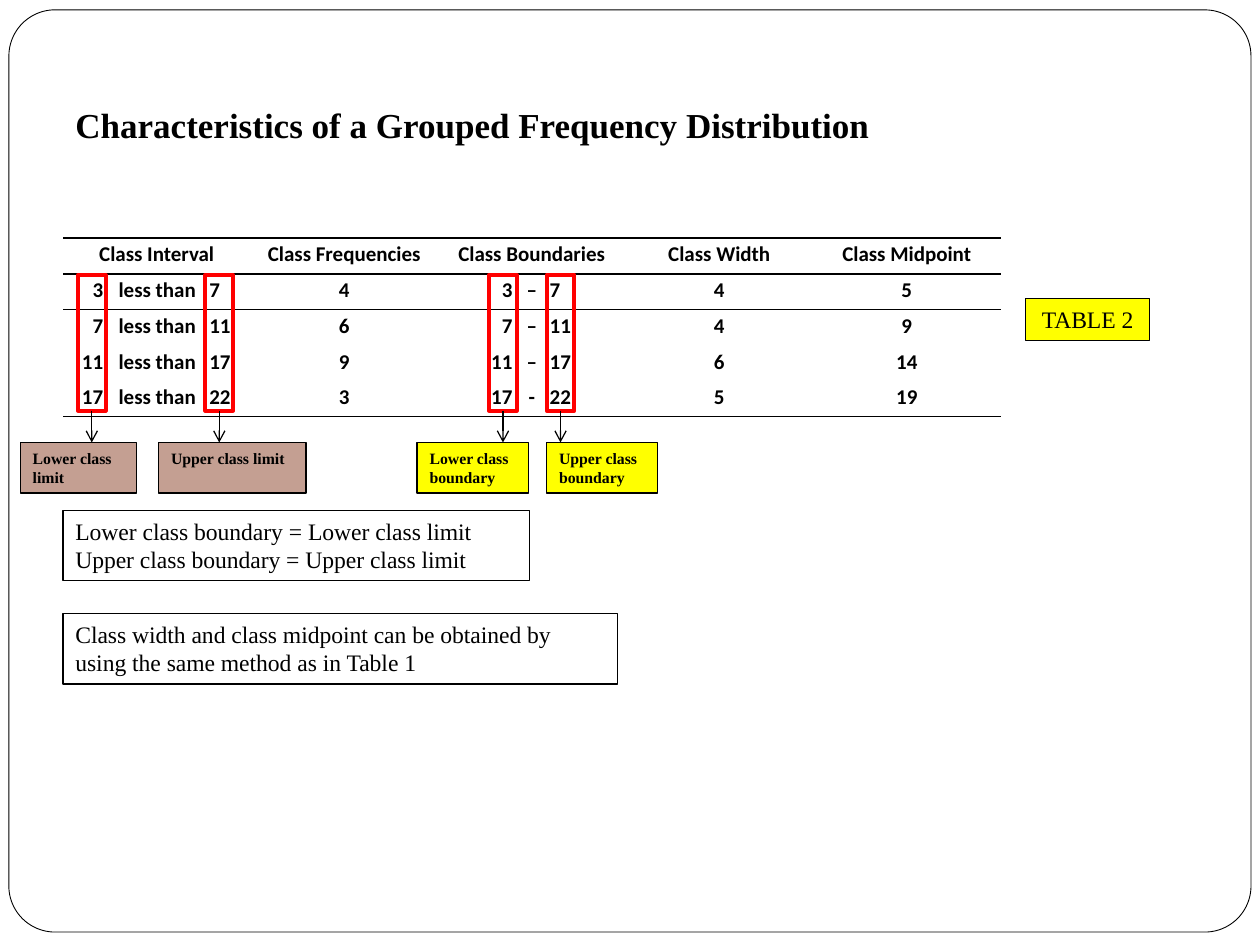
from lxml import etree
from pptx import Presentation
from pptx.dml.color import RGBColor
from pptx.enum.shapes import MSO_CONNECTOR, MSO_SHAPE
from pptx.enum.text import MSO_ANCHOR, PP_ALIGN
from pptx.oxml.ns import qn
from pptx.util import Cm, Pt

BLACK = RGBColor(0x00, 0x00, 0x00)
WHITE = RGBColor(0xFF, 0xFF, 0xFF)
RED = RGBColor(0xFF, 0x00, 0x00)
YELLOW = RGBColor(0xFF, 0xFF, 0x00)
ROSE = RGBColor(0xC4, 0x9F, 0x92)

RECTANGLE = MSO_SHAPE.RECTANGLE
ROUNDED = MSO_SHAPE.ROUNDED_RECTANGLE
STRAIGHT = MSO_CONNECTOR.STRAIGHT
LEFT, CENTER = PP_ALIGN.LEFT, PP_ALIGN.CENTER
TOP = MSO_ANCHOR.TOP

SERIF, SANS = "Times New Roman", "Calibri"
NO_GRID_STYLE = "{2D5ABB26-0587-4C30-8999-92F81FD0307C}"

COLUMN_WIDTH, ROW_HEIGHT = 3.78, 0.72
HEADERS = ["Class Interval", "Class Frequencies", "Class Boundaries",
           "Class Width", "Class Midpoint"]
# lower limit, upper limit, frequency, boundary dash, width, midpoint
CLASSES = [
    (3, 7, 4, "–", 4, 5),
    (7, 11, 6, "–", 4, 9),
    (11, 17, 9, "–", 6, 14),
    (17, 22, 3, "-", 5, 19),
]
# Tab stops in cm from the cell's text edge, by column
TAB_STOPS = {
    0: [("r", 0.66), ("l", 0.97), ("l", 2.8)],
    2: [("r", 1.35), ("ctr", 1.74), ("l", 2.1)],
}
# Offsets from the table's left edge: marker, label, label width
CALLOUTS = [
    ("Lower class limit", ROSE, 0.3, -0.86, 2.34),
    ("Upper class limit", ROSE, 2.87, 1.93, 2.97),
    ("Lower class boundary", YELLOW, 8.59, 7.14, 2.24),
    ("Upper class boundary", YELLOW, 9.75, 9.75, 2.24),
]


def add_span(para, text, size, font, bold=False):
    span = para.add_run()
    span.text = text
    span.font.name = font
    span.font.size = Pt(size)
    span.font.bold = bold
    span.font.color.rgb = BLACK


def add_lines(box, lines, size, bold=False, align=LEFT):
    frame = box.text_frame
    frame.word_wrap = True
    frame.vertical_anchor = TOP
    for number, line in enumerate(lines):
        para = frame.add_paragraph() if number else frame.paragraphs[0]
        para.alignment = align
        add_span(para, line, size, SERIF, bold)


def add_panel(page, left, top, width, height, fill=None, line=BLACK,
              weight=0.75, kind=RECTANGLE):
    panel = page.shapes.add_shape(kind, Cm(left), Cm(top), Cm(width), Cm(height))
    panel.shadow.inherit = False
    if fill is None:
        panel.fill.background()
    else:
        panel.fill.solid()
        panel.fill.fore_color.rgb = fill
    panel.line.color.rgb = line
    panel.line.width = Pt(weight)
    return panel


def add_down_arrow(page, x, top, bottom):
    arrow = page.shapes.add_connector(STRAIGHT, Cm(x), Cm(top), Cm(x), Cm(bottom))
    arrow.line.color.rgb = BLACK
    arrow.line.width = Pt(0.75)
    properties = arrow.line._get_or_add_ln()
    etree.SubElement(properties, qn("a:tailEnd"), type="arrow")
    etree.SubElement(arrow._element.spPr, qn("a:effectLst"))


def add_rule(cell, side):
    """Draw a black rule on one side of a cell: lnT or lnB."""
    rule = etree.SubElement(cell._tc.get_or_add_tcPr(), qn("a:" + side),
                            w=str(Pt(1)))
    fill = etree.SubElement(rule, qn("a:solidFill"))
    etree.SubElement(fill, qn("a:srgbClr"), val=str(BLACK))


def add_tabs(para, stops):
    tabs = etree.SubElement(para._p.get_or_add_pPr(), qn("a:tabLst"))
    for align, position in stops:
        etree.SubElement(tabs, qn("a:tab"), pos=str(Cm(position)), algn=align)


def fill_cell(cell, text, rules, stops):
    cell.margin_left = cell.margin_right = Cm(0.15)
    cell.margin_top = cell.margin_bottom = 0
    for side in rules:
        add_rule(cell, side)
    cell.fill.background()
    para = cell.text_frame.paragraphs[0]
    if stops:
        add_tabs(para, stops)
    para.alignment = LEFT if stops else CENTER
    para.line_spacing = 1.15
    add_span(para, text, 12, SANS, bold=True)


def add_class_table(page, left, top):
    rows = [HEADERS] + [
        [f"\t{low}\tless than\t{high}", str(count), f"\t{low}\t{dash}\t{high}",
         str(width), str(midpoint)]
        for low, high, count, dash, width, midpoint in CLASSES
    ]
    table = page.shapes.add_table(
        len(rows), len(HEADERS), Cm(left), Cm(top),
        Cm(COLUMN_WIDTH * len(HEADERS)), Cm(ROW_HEIGHT * len(rows))).table
    table.first_row = table.horz_banding = False
    table._tbl.tblPr.find(qn("a:tableStyleId")).text = NO_GRID_STYLE
    for column in table.columns:
        column.width = Cm(COLUMN_WIDTH)
    rules = {0: ["lnT", "lnB"], 1: ["lnT"], len(rows) - 1: ["lnB"]}
    for r, row in enumerate(rows):
        table.rows[r].height = Cm(ROW_HEIGHT)
        for c, text in enumerate(row):
            stops = TAB_STOPS.get(c) if r else None
            fill_cell(table.cell(r, c), text, rules.get(r, []), stops)


def add_callouts(page, left, top):
    """Mark the limits and boundaries of the table at left, top."""
    marker_top, marker_width, marker_height = top + 0.74, 0.56, 2.74
    marker_bottom, label_top = marker_top + marker_height, top + 4.12
    for text, fill, marker_x, label_x, label_width in CALLOUTS:
        add_panel(page, left + marker_x, marker_top, marker_width,
                  marker_height, line=RED, weight=2.25)
        add_down_arrow(page, left + marker_x + marker_width / 2,
                       marker_bottom, label_top)
        label = add_panel(page, left + label_x, label_top, label_width, 1.02, fill)
        add_lines(label, [text], 9, bold=True)


def add_notes(page, left, top):
    rule = add_panel(page, left, top, 9.4, 1.42)
    add_lines(rule, ["Lower class boundary = Lower class limit",
                     "Upper class boundary = Upper class limit"], 13.5)
    method = add_panel(page, left, top + 2.08, 11.18, 1.42)
    add_lines(method, ["Class width and class midpoint can be obtained by "
                       "using the same method as in Table 1"], 13.5)


def add_title(page, left, top):
    box = page.shapes.add_textbox(Cm(left), Cm(top), Cm(17.75), Cm(1.12))
    add_lines(box, ["Characteristics of a Grouped Frequency Distribution"],
              20, bold=True)


def main():
    deck = Presentation()
    deck.slide_width, deck.slide_height = Cm(25.4), Cm(19.05)
    page = deck.slides.add_slide(deck.slide_layouts[6])
    margin, table_top = 1.27, 4.8

    border = add_panel(page, 0.18, 0.2, 25.04, 18.59, WHITE, weight=0.5,
                       kind=ROUNDED)
    border.adjustments[0] = 0.05
    add_title(page, margin, 1.96)
    add_class_table(page, margin, table_top)
    tag = add_panel(page, 20.68, 6.02, 2.49, 0.84, YELLOW)
    add_lines(tag, ["TABLE 2"], 13.5, align=CENTER)
    add_callouts(page, margin, table_top)
    add_notes(page, margin, 10.29)
    deck.save("out.pptx")


if __name__ == "__main__":
    main()
